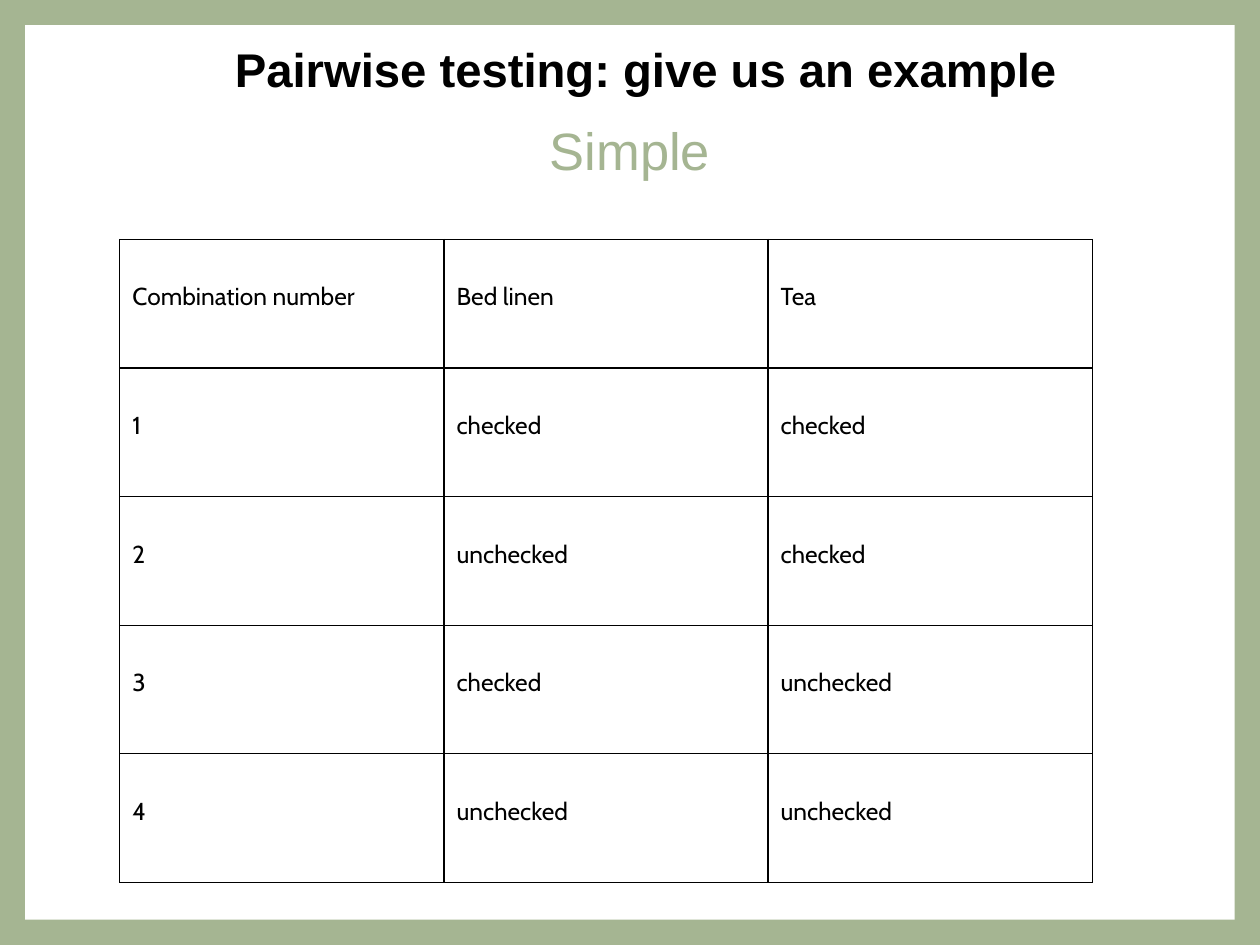
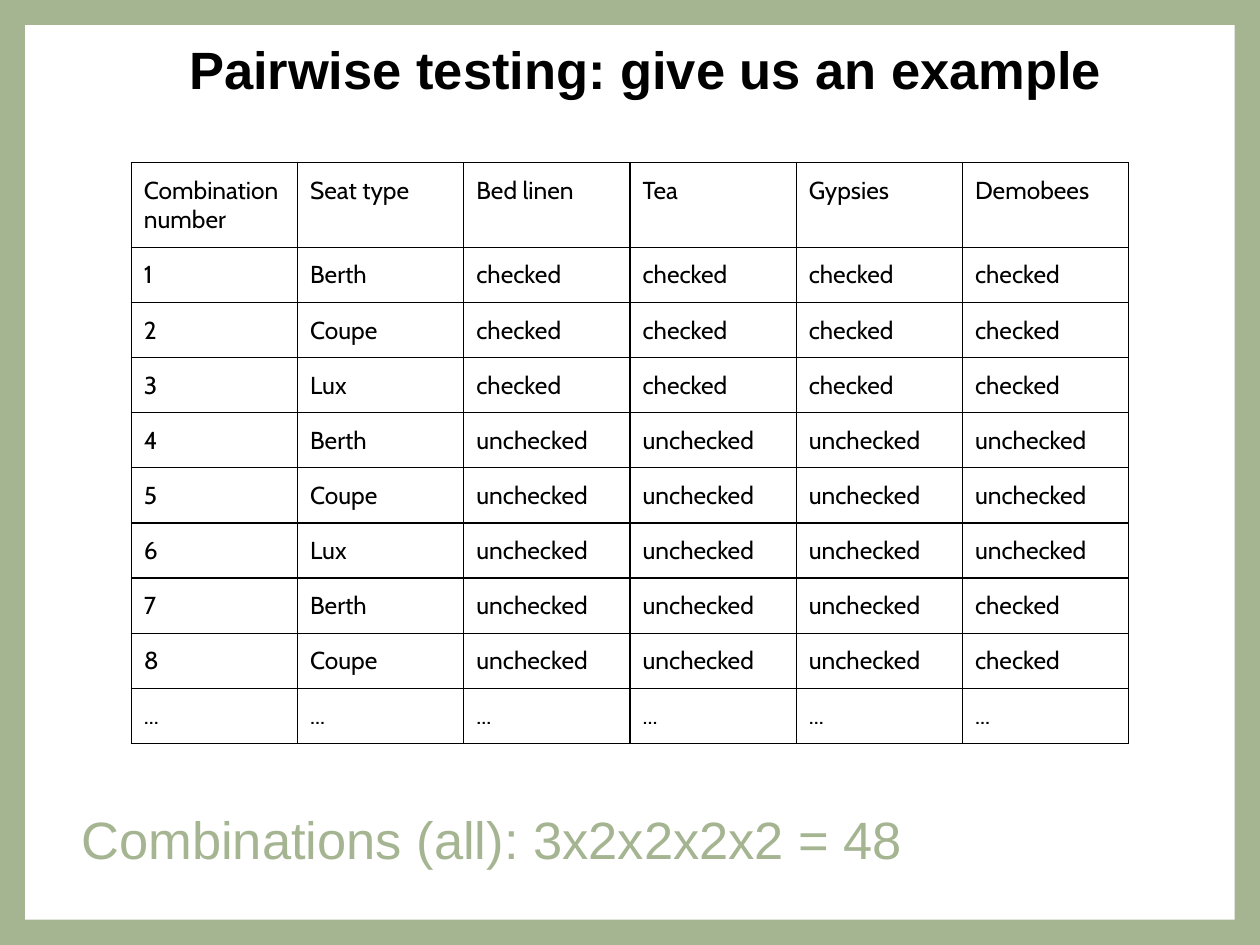
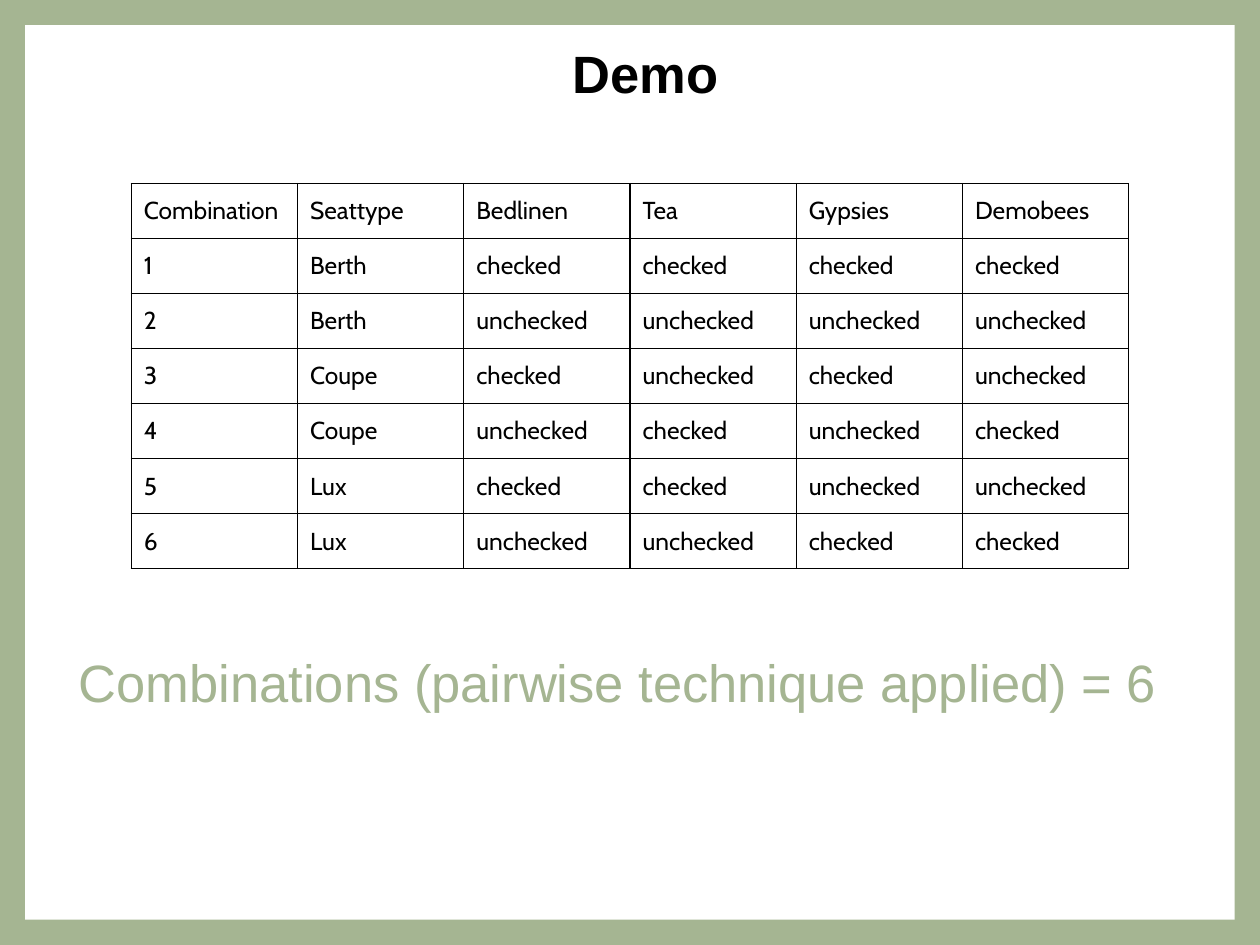
import dataclasses
import pptx
import pptx.dml.color
import pptx.enum.shapes
import pptx.enum.text
import pptx.oxml
import pptx.oxml.ns
import pptx.util

Pt = pptx.util.Pt
RGB = pptx.dml.color.RGBColor
TEXT = pptx.enum.text


@dataclasses.dataclass(frozen=True)
class Theme:
    sage: RGB = RGB.from_string("A5B592")
    paper: RGB = RGB.from_string("FFFFFF")
    ink: RGB = RGB.from_string("000000")
    heading_font: str = "Arial"
    table_font: str = "Cabin"
    heading_size: float = 30
    small_heading_size: float = 27
    table_size: float = 14
    cell_inset: float = 7.2
    border: float = 0.75


@dataclasses.dataclass(frozen=True)
class Box:
    left: float
    top: float
    width: float
    height: float

    def lengths(self):
        return [Pt(value) for value in dataclasses.astuple(self)]


THEME = Theme()
PAGE = Box(0, 0, 720, 540)
MARGIN = 14.4
MARKS = {"+": "checked", "-": "unchecked"}


def add_span(para, text, font, size, color, bold=False):
    span = para.add_run()
    span.text = text
    span.font.name = font
    span.font.size = Pt(size)
    span.font.bold = bold
    span.font.color.rgb = color


def set_inset(target, left=0, top=0, right=0, bottom=0):
    target.margin_left, target.margin_top = Pt(left), Pt(top)
    target.margin_right, target.margin_bottom = Pt(right), Pt(bottom)


def fill_placeholder(holder, box, text, size, color, align, anchor,
                     indent=0, bold=False, **inset):
    """Move a placeholder to the box and give it one plain paragraph."""
    holder.left, holder.top, holder.width, holder.height = box.lengths()
    frame = holder.text_frame
    frame.word_wrap = True
    frame.auto_size = TEXT.MSO_AUTO_SIZE.NONE
    frame.vertical_anchor = anchor
    set_inset(frame, **inset)
    para = frame.paragraphs[0]
    para.alignment = align
    para.line_spacing = 0.9
    para.space_before = Pt(0)
    settings = para._p.get_or_add_pPr()
    settings.set("marL", "0")
    settings.set("indent", str(Pt(indent)))
    settings.append(pptx.oxml.parse_xml(
        f"<a:buNone {pptx.oxml.ns.nsdecls('a')}/>"))
    add_span(para, text, THEME.heading_font, size, color, bold)


def add_title(page, box, text, size=THEME.heading_size):
    fill_placeholder(page.shapes.title, box, text, size, THEME.ink,
                     TEXT.PP_ALIGN.CENTER, TEXT.MSO_ANCHOR.MIDDLE,
                     indent=18, bold=True)


def add_subtitle(page, box, text):
    fill_placeholder(page.placeholders[1], box, text, THEME.heading_size,
                     THEME.sage, TEXT.PP_ALIGN.CENTER, TEXT.MSO_ANCHOR.TOP,
                     top=6)


def add_conclusion(page, box, text, bottom):
    """Write the result line, raised by bottom from the foot of the box."""
    fill_placeholder(page.placeholders[1], box, text, THEME.heading_size,
                     THEME.sage, TEXT.PP_ALIGN.LEFT, TEXT.MSO_ANCHOR.BOTTOM,
                     left=5.5, bottom=bottom)


def add_borders(cell):
    settings = cell._tc.get_or_add_tcPr()
    for index, side in enumerate("LRTB"):
        settings.insert(index, pptx.oxml.parse_xml(
            f"<a:ln{side} {pptx.oxml.ns.nsdecls('a')} w='{Pt(THEME.border)}'>"
            f"<a:solidFill><a:srgbClr val='{THEME.ink}'/></a:solidFill>"
            f"</a:ln{side}>"))


def add_grid(page, box, rows, header_height=None, text_top=THEME.cell_inset):
    """Draw a bordered table with equal columns and equal body rows."""
    columns = len(rows[0])
    grid = page.shapes.add_table(len(rows), columns, *box.lengths()).table
    grid.first_row = grid.horz_banding = False
    header_height = header_height or box.height / len(rows)
    row_height = (box.height - header_height) / (len(rows) - 1)
    for column in grid.columns:
        column.width = Pt(box.width / columns)
    for index, values in enumerate(rows):
        grid.rows[index].height = Pt(row_height if index else header_height)
        for cell, value in zip(grid.rows[index].cells, values):
            cell.fill.background()
            add_borders(cell)
            inset = THEME.cell_inset
            set_inset(cell, inset, text_top, inset, inset)
            add_span(cell.text_frame.paragraphs[0], value, THEME.table_font,
                     THEME.table_size, THEME.ink)


def numbered(cases, seats=()):
    """Turn marks into numbered rows, with a seat type where there is one."""
    rows = []
    for index, marks in enumerate(cases):
        seat = [seats[index]] if seats else []
        rows.append([str(index + 1), *seat, *(MARKS[mark] for mark in marks)])
    return rows


def dress_master(deck):
    """Give the master a sage ground and a white sheet inside it."""
    master = deck.slide_master
    master.background.fill.solid()
    master.background.fill.fore_color.rgb = THEME.sage
    sheet_box = Box(MARGIN, MARGIN,
                    PAGE.width - 2 * MARGIN, PAGE.height - 2 * MARGIN)
    # A master cannot add shapes itself, so the sheet is made on a page first
    page = deck.slides.add_slide(deck.slide_layouts[1])
    sheet = page.shapes.add_shape(
        pptx.enum.shapes.MSO_SHAPE.RECTANGLE, *sheet_box.lengths())
    sheet.shadow.inherit = False
    sheet.fill.solid()
    sheet.fill.fore_color.rgb = THEME.paper
    sheet.line.fill.background()
    master.shapes._spTree.insert(2, sheet._element)
    return page


def simple_page(page):
    add_title(page, Box(36, 21.6, 648, 39),
              "Pairwise testing: give us an example", THEME.small_heading_size)
    add_subtitle(page, Box(36, 65.5, 648, 452), "Simple")
    add_grid(page, Box(68.5, 136.8, 555.6, 367.5),
             [["Combination number", "Bed linen", "Tea"],
              *numbered(["++", "-+", "+-", "--"])], text_top=24.5)


def all_combinations_page(page):
    add_title(page, Box(36, 21.6, 648, 40),
              "Pairwise testing: give us an example")
    seats = ["Berth", "Coupe", "Lux"] * 3
    cases = ["++++"] * 3 + ["----"] * 3 + ["---+"] * 2
    add_grid(page, Box(75, 93, 570, 331.5),
             [["Combination number", "Seat type", "Bed linen", "Tea",
               "Gypsies", "Demobees"],
              *numbered(cases, seats), ["..."] * 6], header_height=48.5)
    add_conclusion(page, Box(41, 74, 648, 430.5),
                   "Combinations (all): 3x2x2x2x2 = 48", bottom=7)


def demo_page(page):
    add_title(page, Box(36, 21.6, 648, 44.6), "Demo")
    add_conclusion(page, Box(39.5, 98.5, 648, 430.5),
                   "Combinations (pairwise technique applied) = 6",
                   bottom=121)
    seats = ["Berth", "Berth", "Coupe", "Coupe", "Lux", "Lux"]
    cases = ["++++", "----", "+-+-", "-+-+", "++--", "--++"]
    add_grid(page, Box(75, 104.8, 570, 220),
             [["Combination", "Seattype", "Bedlinen", "Tea", "Gypsies",
               "Demobees"], *numbered(cases, seats)])


deck = pptx.Presentation()
deck.slide_width, deck.slide_height = Pt(PAGE.width), Pt(PAGE.height)
simple_page(dress_master(deck))
for build in (all_combinations_page, demo_page):
    build(deck.slides.add_slide(deck.slide_layouts[1]))
deck.save("out.pptx")
